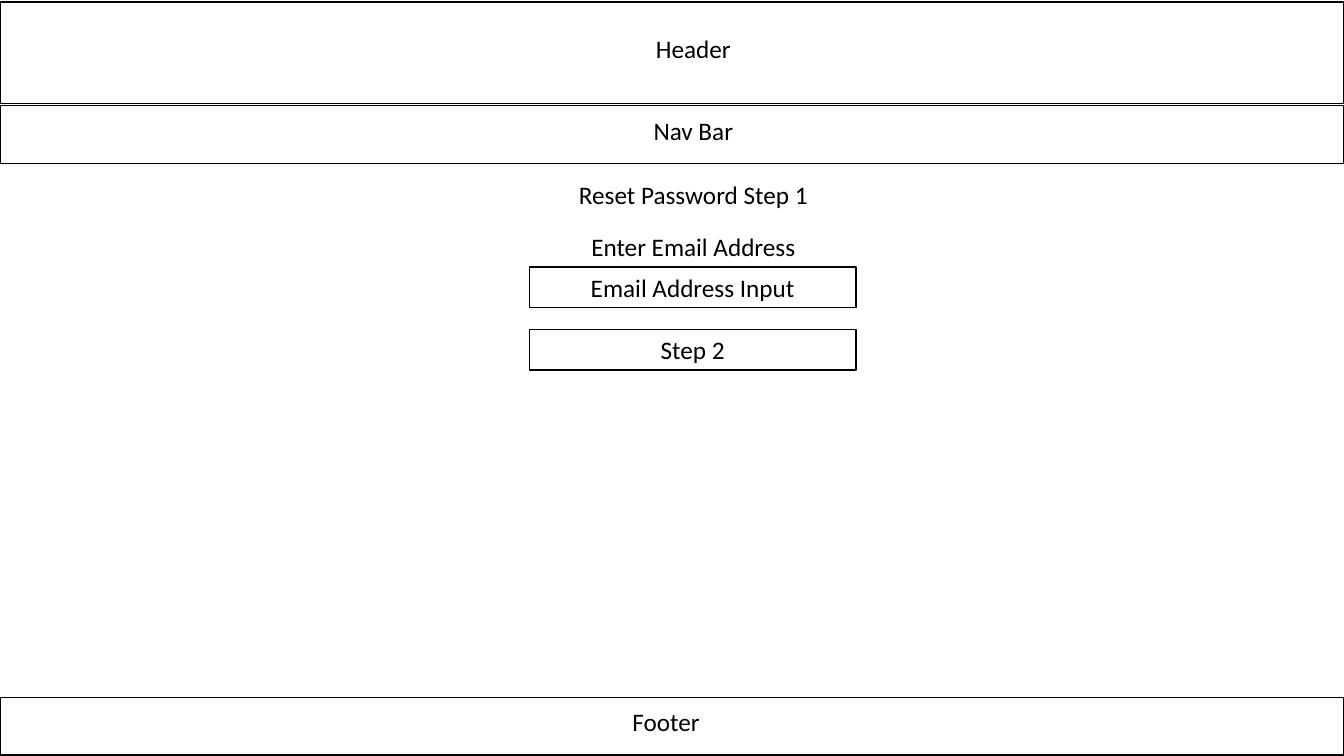
import pptx
import pptx.dml.color
import pptx.enum.shapes
import pptx.enum.text
import pptx.util

Inches = pptx.util.Inches
BLACK = pptx.dml.color.RGBColor(0, 0, 0)
WIDTH, HEIGHT = 13.33, 7.5


class Page:
    """Holds the wireframe style and the current slide."""

    font, size, color, stroke = "Calibri", 18, BLACK, 1

    def __init__(self, slide):
        """Keep the slide to draw on."""
        self.slide = slide

    def add_text(self, frame, text):
        """Add one centred run of text to a frame."""
        frame.word_wrap = True
        para = frame.paragraphs[0]
        para.alignment = pptx.enum.text.PP_ALIGN.CENTER
        run = para.add_run()
        run.text = text
        run.font.name = self.font
        run.font.size = pptx.util.Pt(self.size)
        run.font.color.rgb = self.color

    def box(self, left, top, width, height, text=None):
        """Draw an outlined box, with text in its middle if given."""
        shape = self.slide.shapes.add_shape(
            pptx.enum.shapes.MSO_SHAPE.RECTANGLE,
            Inches(left), Inches(top), Inches(width), Inches(height))
        shape.shadow.inherit = False
        shape.fill.background()
        shape.line.color.rgb = self.color
        shape.line.width = pptx.util.Pt(self.stroke)
        if text:
            shape.text_frame.vertical_anchor = pptx.enum.text.MSO_ANCHOR.MIDDLE
            self.add_text(shape.text_frame, text)

    def label(self, left, top, height, text):
        """Add a centred line of free text."""
        area = self.slide.shapes.add_textbox(
            Inches(left), Inches(top), Inches(5.87), Inches(height))
        area.text_frame.auto_size = pptx.enum.text.MSO_AUTO_SIZE.SHAPE_TO_FIT_TEXT
        self.add_text(area.text_frame, text)


def main():
    """Build the password reset wireframe."""
    deck = pptx.Presentation()
    deck.slide_width, deck.slide_height = Inches(WIDTH), Inches(HEIGHT)
    page = Page(deck.slides.add_slide(deck.slide_layouts[6]))

    bands = [
        (0.02, 1.01, 3.97, 0.28, "Header "),
        (1.05, 0.57, 3.97, 1.09, "Nav Bar "),
        (6.92, 0.57, 3.7, 6.96, "Footer "),
    ]
    for top, height, *_ in bands:
        page.box(0, top, WIDTH, height)
    for _, _, left, top, name in bands:
        page.label(left, top, 0.48, name)

    for top, text in [(1.73, "Reset Password Step 1 "), (2.25, "Enter Email Address ")]:
        page.label(3.97, top, 0.4, text)
    for top, text in [(2.65, "Email Address Input"), (3.27, "Step 2")]:
        page.box(5.25, top, 3.24, 0.4, text)

    deck.save("out.pptx")


main()
